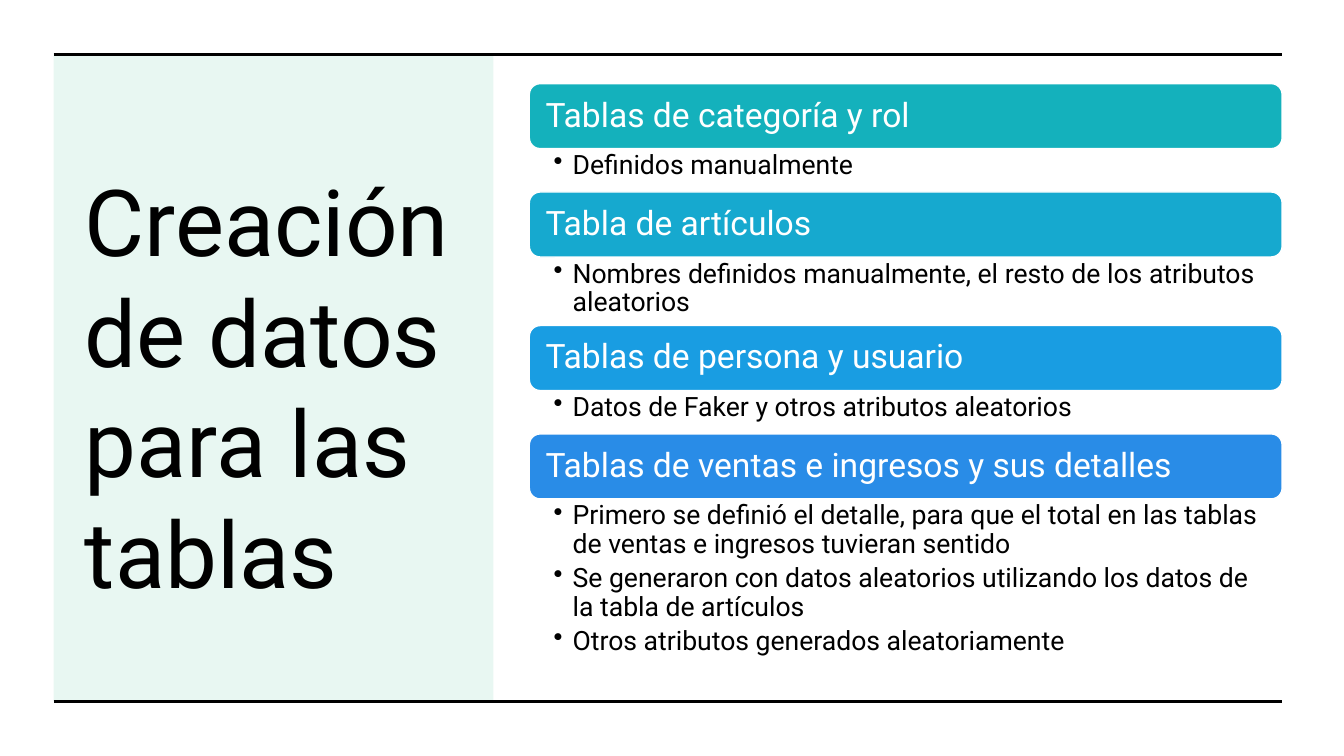
from lxml.etree import SubElement as Sub
from pptx import Presentation
from pptx.dml.color import RGBColor as RGB
from pptx.enum.shapes import MSO_CONNECTOR as Conn, MSO_SHAPE as Shape
from pptx.enum.text import MSO_ANCHOR as Anchor, PP_ALIGN as Align
from pptx.oxml.ns import qn
from pptx.util import Inches as In, Pt

WIDE, HIGH = 13.33, 7.5
LEFT, RIGHT = 0.04 * WIDE, 0.954 * WIDE
TOP, BASE = 0.072 * HIGH, 0.928 * HIGH
BAR = 0.645  # height of a topic bar
FONT = "Roboto"
HUES = {"ink": "000000", "paper": "FFFFFF", "mint": "21B782",
        "teal": "14B1BC", "cyan": "16A9CF", "sky": "199DE2", "blue": "298CE7"}

TITLE = "Creación de datos para las tablas"
# Heading, colour, height of the points below, points
TOPICS = [
    ("Tablas de categoría y rol", "teal", 0.43, ["Definidos manualmente"]),
    ("Tabla de artículos", "cyan", 0.68,
     ["Nombres definidos manualmente, el resto de los atributos aleatorios"]),
    ("Tablas de persona y usuario", "sky", 0.43,
     ["Datos de Faker y otros atributos aleatorios"]),
    ("Tablas de ventas e ingresos y sus detalles", "blue", 1.71,
     ["Primero se definió el detalle, para que el total en las tablas "
      "de ventas e ingresos tuvieran sentido",
      "Se generaron con datos aleatorios utilizando los datos de "
      "la tabla de artículos",
      "Otros atributos generados aleatoriamente"]),
]


def hue(name):
    return RGB.from_string(HUES[name])


def block(slide, kind, box, fill):
    shape = slide.shapes.add_shape(kind, *map(In, box))
    shape.shadow.inherit = False
    shape.fill.solid()
    shape.fill.fore_color.rgb = hue(fill)
    return shape


def setup(shape, pads, anchor):
    frame = shape.text_frame
    frame.word_wrap = True
    frame.vertical_anchor = anchor
    (frame.margin_left, frame.margin_top,
     frame.margin_right, frame.margin_bottom) = map(In, pads)
    return frame


def write(para, text, size, color):
    para.alignment = Align.LEFT
    run = para.add_run()
    run.text = text
    run.font.name, run.font.size = FONT, Pt(size)
    run.font.color.rgb = hue(color)


def bullet(para):
    props = para._p.get_or_add_pPr()
    props.set("marL", str(In(0.19)))
    props.set("indent", str(-In(0.19)))
    Sub(props, qn("a:buChar")).set("char", "•")


def rule(slide, x, y, end):
    line = slide.shapes.add_connector(Conn.STRAIGHT, In(x), In(y), In(end), In(y))
    line.line.color.rgb = hue("ink")
    line.line.width = Pt(2.25)
    Sub(line._element.spPr, qn("a:effectLst"))


def panel(slide, x, y, w, h):
    # Pale backdrop
    back = block(slide, Shape.RECTANGLE, (x, y, w, h), "mint")
    back.line.fill.background()
    tint = back.fill._xPr.find(".//" + qn("a:srgbClr"))
    Sub(tint, qn("a:alpha")).set("val", "10000")
    # Title
    box = (x + 0.21, y + 0.53, w - 0.47, h - 0.91)
    text = slide.shapes.add_textbox(*map(In, box))
    frame = setup(text, (0.1, 0.05, 0.1, 0.05), Anchor.MIDDLE)
    write(frame.paragraphs[0], TITLE, 66, "ink")


def topic(slide, x, y, w, h, head, color, points):
    # Bar with heading
    bar = block(slide, Shape.ROUNDED_RECTANGLE, (x, y, w, BAR), color)
    bar.line.color.rgb = hue("paper")
    bar.line.width = Pt(1)
    para = setup(bar, (0.13, 0.1, 0.13, 0.1), Anchor.MIDDLE).paragraphs[0]
    para.line_spacing = 0.9
    write(para, head, 24, "paper")
    # Points below
    text = slide.shapes.add_textbox(In(x), In(y + BAR), In(w), In(h))
    frame = setup(text, (0.24, 0.03, 0.19, 0.03), Anchor.TOP)
    for i, point in enumerate(points):
        para = frame.add_paragraph() if i else frame.paragraphs[0]
        para.line_spacing = 0.9
        para.space_after = Pt(3.8)
        bullet(para)
        write(para, point, 19, "ink")


def topics(slide, x, y, w):
    for head, color, h, points in TOPICS:
        topic(slide, x, y, w, h, head, color, points)
        y += BAR + h


def main():
    deck = Presentation()
    deck.slide_width, deck.slide_height = In(WIDE), In(HIGH)
    slide = deck.slides.add_slide(deck.slide_layouts[6])
    panel(slide, LEFT, TOP, 4.36, BASE - TOP)
    for y in (TOP, BASE):
        rule(slide, LEFT, y, RIGHT)
    topics(slide, 5.25, 0.83, RIGHT - 5.25)
    deck.save("out.pptx")


if __name__ == "__main__":
    main()
